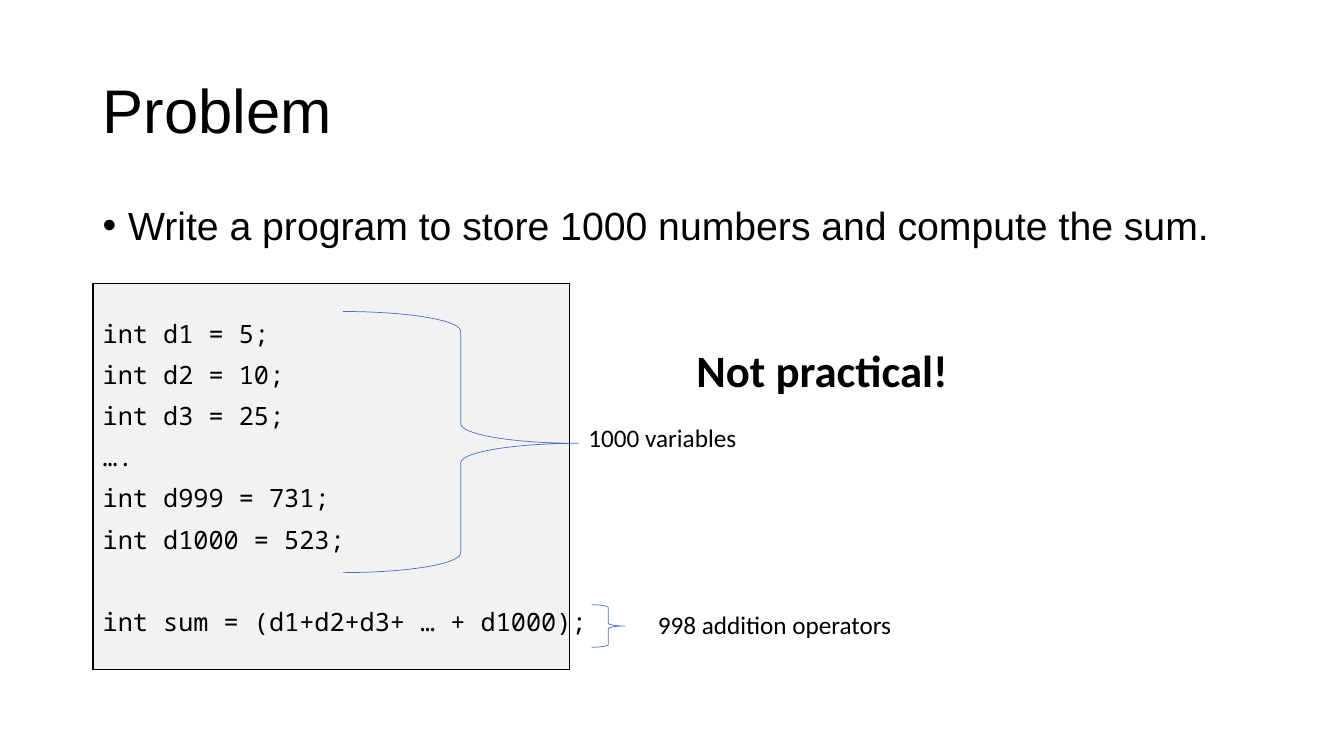
from pptx import Presentation
from pptx.dml.color import RGBColor
from pptx.enum.shapes import MSO_SHAPE as Preset
from pptx.enum.text import MSO_ANCHOR as Anchor
from pptx.oxml.ns import qn
from pptx.util import Cm, Pt
from lxml.etree import SubElement

BLACK = RGBColor(0x00, 0x00, 0x00)
LIGHT_GREY = RGBColor(0xF2, 0xF2, 0xF2)
BLUE = RGBColor(0x44, 0x72, 0xC4)

CODE_LINES = [
    "int d1 = 5;",
    "int d2 = 10;",
    "int d3 = 25;",
    "….",
    "int d999 = 731;",
    "int d1000 = 523;",
    "int sum = (d1+d2+d3+ … + d1000);",
]
CODE_PITCH = Pt(29.4)

presentation = Presentation()
presentation.slide_width = Cm(33.87)
presentation.slide_height = Cm(19.05)
slide = presentation.slides.add_slide(presentation.slide_layouts[6])


def add_text(box, text, font_name, size, bold=False, wrap=True):
    """Add a text box at box (left, top, width, height in cm)."""
    shape = slide.shapes.add_textbox(*map(Cm, box))
    frame = shape.text_frame
    frame.word_wrap = wrap
    frame.text = text
    for paragraph in frame.paragraphs:
        font = paragraph.runs[0].font
        font.name, font.size, font.bold = font_name, Pt(size), bold
        font.color.rgb = BLACK
    return frame


def add_outline(preset, box, color, width):
    """Add an unfilled preset shape at box (in cm) with a thin line."""
    shape = slide.shapes.add_shape(preset, *map(Cm, box))
    shape.shadow.inherit = False
    shape.fill.background()
    shape.line.color.rgb = color
    shape.line.width = Pt(width)
    return shape


# Code panel
panel = add_outline(Preset.RECTANGLE, (2.34, 7.14, 12.01, 9.73), BLACK, 1)
panel.fill.solid()
panel.fill.fore_color.rgb = LIGHT_GREY

# Title and task
title = add_text((2.34, 1.02, 29.21, 3.68), "Problem", "Arial", 44)
title.vertical_anchor = Anchor.MIDDLE
title.paragraphs[0].line_spacing = 0.9

task = add_text((2.34, 5.08, 29.21, 1.6),
                "Write a program to store 1000 numbers and compute the sum.",
                "Arial", 28)
task.paragraphs[0].line_spacing = 0.9
properties = task.paragraphs[0]._p.get_or_add_pPr()
properties.set("marL", str(Cm(0.64)))
properties.set("indent", str(-Cm(0.64)))
SubElement(properties, qn("a:buFont")).set("typeface", "Arial")
SubElement(properties, qn("a:buChar")).set("char", "•")

# Code, with a one-line gap above the sum
code = add_text((2.34, 7.74, 13.2, 8.3), "\n".join(CODE_LINES),
                "Noto Sans Mono", 18)
code.margin_top = 0
for paragraph in code.paragraphs:
    paragraph.line_spacing = CODE_PITCH
code.paragraphs[-1].space_before = CODE_PITCH

# Braces and their remarks
variables_brace = add_outline(Preset.RIGHT_BRACE, (8.64, 7.85, 5.94, 6.58),
                              BLUE, 0.5)
variables_brace.adjustments[1] = 0.505
add_outline(Preset.RIGHT_BRACE, (14.91, 15.24, 0.84, 1.07), BLUE, 0.5)

for box, text, size, bold in [
    ((14.58, 10.52, 4.27, 1.02), "1000 variables", 18, False),
    ((16.33, 15.24, 6.48, 1.02), "998 addition operators", 18, False),
    ((17.3, 8.51, 6.91, 1.63), "Not practical!", 32, True),
]:
    add_text(box, text, "Calibri", size, bold, wrap=False)

presentation.save("out.pptx")
